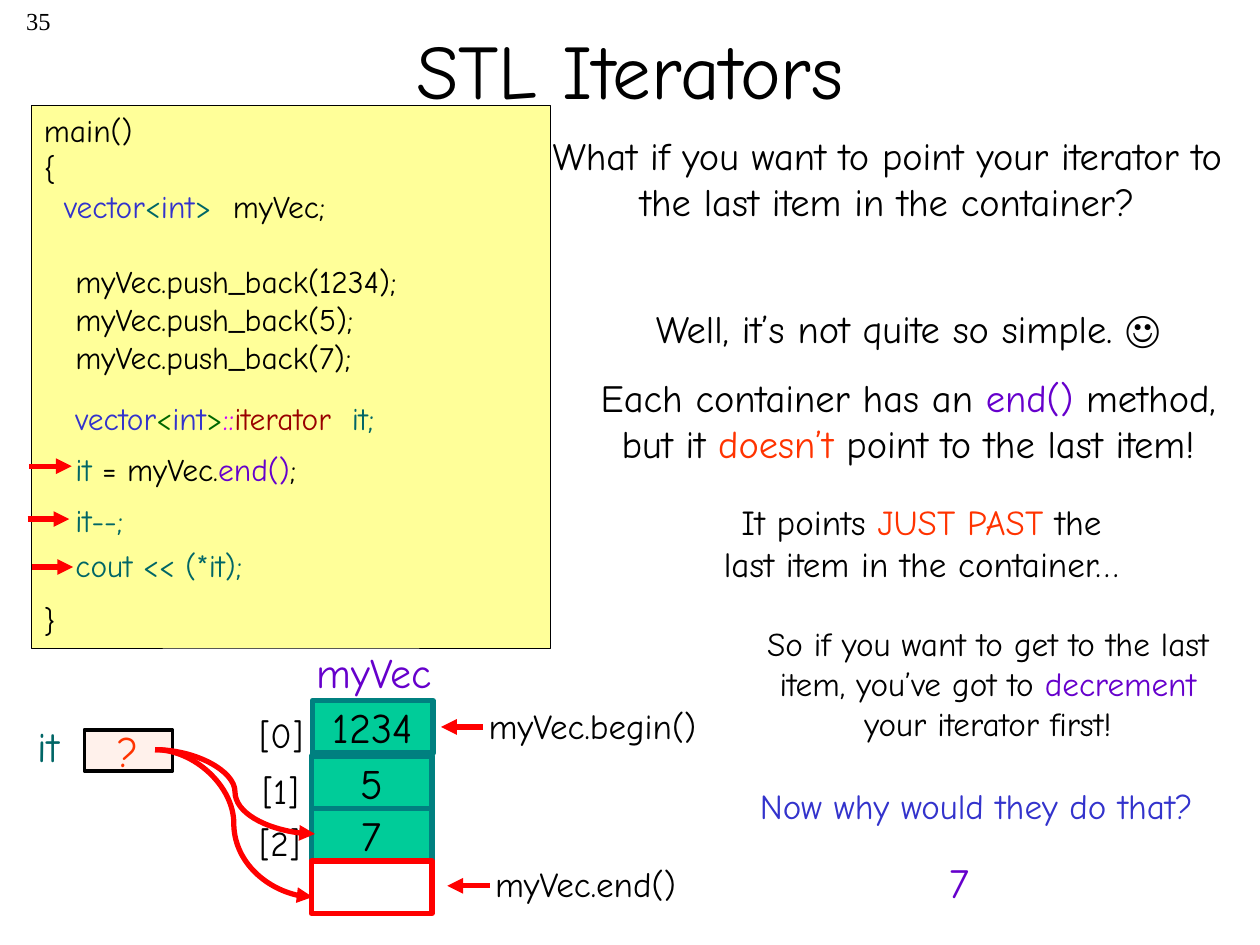
from pptx import Presentation
from pptx.dml.color import RGBColor
from pptx.enum.shapes import MSO_CONNECTOR, MSO_SHAPE
from pptx.enum.text import MSO_ANCHOR, PP_ALIGN
from pptx.oxml.ns import qn
from pptx.util import Pt
from lxml import etree

LEFT, CENTER, RIGHT = PP_ALIGN.LEFT, PP_ALIGN.CENTER, PP_ALIGN.RIGHT
STRAIGHT, CURVE = MSO_CONNECTOR.STRAIGHT, MSO_CONNECTOR.CURVE
BLACK = RGBColor(0, 0, 0)
RED = RGBColor(0xFF, 0, 0)
ORANGE = RGBColor(0xFF, 0x33, 0)
PURPLE = RGBColor(0x66, 0, 0xCC)
BLUE = RGBColor(0x33, 0x33, 0xCC)
TEAL = RGBColor(0, 0x66, 0x66)
GREEN = RGBColor(0, 0x66, 0)
MAGENTA = RGBColor(0xCC, 0, 0xFF)
MAROON = RGBColor(0x99, 0, 0)
YELLOW = RGBColor(0xFF, 0xFF, 0x99)
CELL_FILL = RGBColor(0, 0xCC, 0x99)
CELL_LINE = RGBColor(0, 0x80, 0x80)
PINK = RGBColor(0xFF, 0xF1, 0xEB)
FONT = "Comic Neue"

prs = Presentation()
prs.slide_width, prs.slide_height = Pt(720), Pt(540)
slide = prs.slides.add_slide(prs.slide_layouts[5])
shapes = slide.shapes


def write(paragraph, runs, size, align=LEFT, font=FONT):
    """Fill a paragraph with (text, colour) runs."""
    paragraph.alignment = align
    paragraph.text = "".join(text for text, _ in runs) if len(runs) == 1 else ""
    for text, color in runs:
        run = paragraph.runs[0] if len(runs) == 1 and paragraph.runs else paragraph.add_run()
        run.text = text
        run.font.size, run.font.name = Pt(size), font
        run.font.color.rgb = color


def add_box(left, top, width, height, fill, line, weight):
    box = shapes.add_shape(MSO_SHAPE.RECTANGLE, Pt(left), Pt(top), Pt(width), Pt(height))
    box.shadow.inherit = False
    if fill is None:
        box.fill.background()
    else:
        box.fill.solid()
        box.fill.fore_color.rgb = fill
    box.line.color.rgb, box.line.width = line, Pt(weight)
    return box.text_frame


# Code panel: runs, first-line indent, space before
code = add_box(18, 60, 296.6, 310.3, YELLOW, BLACK, 0.25)
code.vertical_anchor = MSO_ANCHOR.TOP
code_lines = [
    ([("main()", BLACK)], 0, 0),
    ([("{", BLACK)], 0, 0),
    ([("vector", BLUE), ("<", TEAL), ("int", BLUE), (">", TEAL), ("\tmyVec;", BLACK)], 11.5, 0),
    ([("myVec.push_back(1234);", BLACK)], 18, 21.5),
    ([("myVec.push_back(5);", BLACK)], 18, 0),
    ([("myVec.push_back(7);", BLACK)], 18, 0),
    ([("}", BLACK)], 0, 129),
]
for number, (runs, indent, gap) in enumerate(code_lines):
    line = code.paragraphs[0] if number == 0 else code.add_paragraph()
    write(line, runs, 18)
    line.space_before = Pt(gap)
    properties = line._p.get_or_add_pPr()
    properties.set("marL", "0")
    properties.set("indent", str(Pt(indent)))

# Title
title = shapes.title
title.left, title.top, title.width, title.height = Pt(54), Pt(-6), Pt(612), Pt(90)
title.text_frame.vertical_anchor = MSO_ANCHOR.MIDDLE
write(title.text_frame.paragraphs[0], [("STL Iterators", BLACK)], 44, CENTER)

# Vector cells and the iterator variable
for left, top, value in [(178.5, 400.3, "1234"), (178, 432, "5"), (178, 462, "7")]:
    cell = add_box(left, top, 69, 30, CELL_FILL, CELL_LINE, 3)
    cell.margin_top = cell.margin_bottom = 0
    cell.vertical_anchor = MSO_ANCHOR.MIDDLE
    write(cell.paragraphs[0], [(value, BLACK)], 24, CENTER)
add_box(178, 492, 69, 30, None, RED, 3)
variable = add_box(48.2, 417, 50.4, 23.6, PINK, BLACK, 2)
variable.margin_top = variable.margin_bottom = 0
variable.vertical_anchor = MSO_ANCHOR.MIDDLE
write(variable.paragraphs[0], [("?", ORANGE)], 24, CENTER)

# Texts: left, top, width, height, size, alignment, runs
texts = [
    # Remaining code lines
    (36, 224.6, 214, 29, 18, LEFT, [("vector", BLUE), ("<", GREEN), ("int", BLUE), (">", GREEN),
                                  ("::", MAGENTA), ("iterator", MAROON), ("  it;", TEAL)]),
    (36, 253.4, 165, 29, 18, LEFT, [("it", TEAL), (" = myVec.", BLACK), ("end()", PURPLE), (";", BLACK)]),
    (36, 283, 60, 29, 18, LEFT, [("it--;", TEAL)]),
    (36, 308.2, 130, 29, 18, LEFT, [("cout << (*it);", TEAL)]),
    # Explanation
    (300, 72, 414, 86, 22, CENTER,
     [("What if you want to point your iterator to the last item in the container?", BLACK)]),
    (318, 170.6, 402, 34, 22, CENTER, [("Well, it’s not quite so simple. ☺", BLACK)]),
    (318, 210.2, 402, 60, 22, CENTER,
     [("Each container has an ", BLACK), ("end()", PURPLE), (" method, but it ", BLACK),
      ("doesn’t", ORANGE), (" point to the last item!", BLACK)]),
    (393, 282.2, 267, 55, 20, CENTER,
     [("It points ", BLACK), ("JUST PAST", ORANGE), (" the\vlast item in the container…", BLACK)]),
    (420, 352.8, 289, 76, 19, CENTER,
     [("So if you want to get to the last item, you’ve got to ", BLACK),
      ("decrement", PURPLE), (" your iterator first!", BLACK)]),
    (408, 445, 300, 31, 20, CENTER, [("Now why would they do that?", BLUE)]),
    (534, 486, 29, 36, 24, CENTER, [("7", PURPLE)]),
    # Diagram labels
    (11.5, 408.2, 32.4, 36, 24, CENTER, [("it", TEAL)]),
    (174, 365.8, 90, 36, 24, LEFT, [("myVec", PURPLE)]),
    (141.1, 404, 54, 31, 20, LEFT, [("[0]", BLACK)]),
    (142.8, 436.3, 54, 31, 20, LEFT, [("[1]", BLACK)]),
    (141.1, 465.8, 54, 31, 20, LEFT, [("[2]", BLACK)]),
    (272.2, 398.9, 144, 31, 20, LEFT, [("myVec.begin()", BLACK)]),
    (275.8, 489.6, 128, 31, 20, LEFT, [("myVec.end()", BLACK)]),
]
for left, top, width, height, size, align, runs in texts:
    frame = shapes.add_textbox(Pt(left), Pt(top), Pt(width), Pt(height)).text_frame
    frame.word_wrap = True
    paragraph = frame.paragraphs[0]
    write(paragraph, [(text.replace("\v", ""), color) for text, color in runs if "\v" not in text],
          size, align)
    for text, color in runs:
        if "\v" in text:
            before, after = text.split("\v")
            write_parts = [before, after]
            for part in write_parts:
                run = paragraph.add_run()
                run.text = part
                run.font.size, run.font.name = Pt(size), FONT
                run.font.color.rgb = color
                if part is before:
                    paragraph.add_line_break()

# Slide number
number_frame = shapes.add_textbox(Pt(0), Pt(0), Pt(36), Pt(36)).text_frame
write(number_frame.paragraphs[0], [("35", BLACK)], 14, RIGHT, "Times New Roman")
number_frame.word_wrap = True

# Arrows: steps in the code, begin and end marks, iterator targets
arrows = [
    (STRAIGHT, 16.6, 266.4, 41, 266.4),
    (STRAIGHT, 15.8, 296.6, 39.6, 296.6),
    (STRAIGHT, 18, 324, 41.8, 324),
    (STRAIGHT, 275.8, 415.4, 252, 415.4),
    (STRAIGHT, 280, 506.2, 255.6, 506.2),
    (CURVE, 88.6, 428.4, 178.6, 512.6),
    (CURVE, 88.6, 428.4, 180, 476.6),
]
for kind, x1, y1, x2, y2 in arrows:
    arrow = shapes.add_connector(kind, Pt(x1), Pt(y1), Pt(x2), Pt(y2))
    arrow.line.color.rgb, arrow.line.width = RED, Pt(3)
    etree.SubElement(arrow.line._get_or_add_ln(), qn("a:tailEnd"), type="triangle")
    etree.SubElement(arrow._element.spPr, qn("a:effectLst"))

prs.save("out.pptx")
